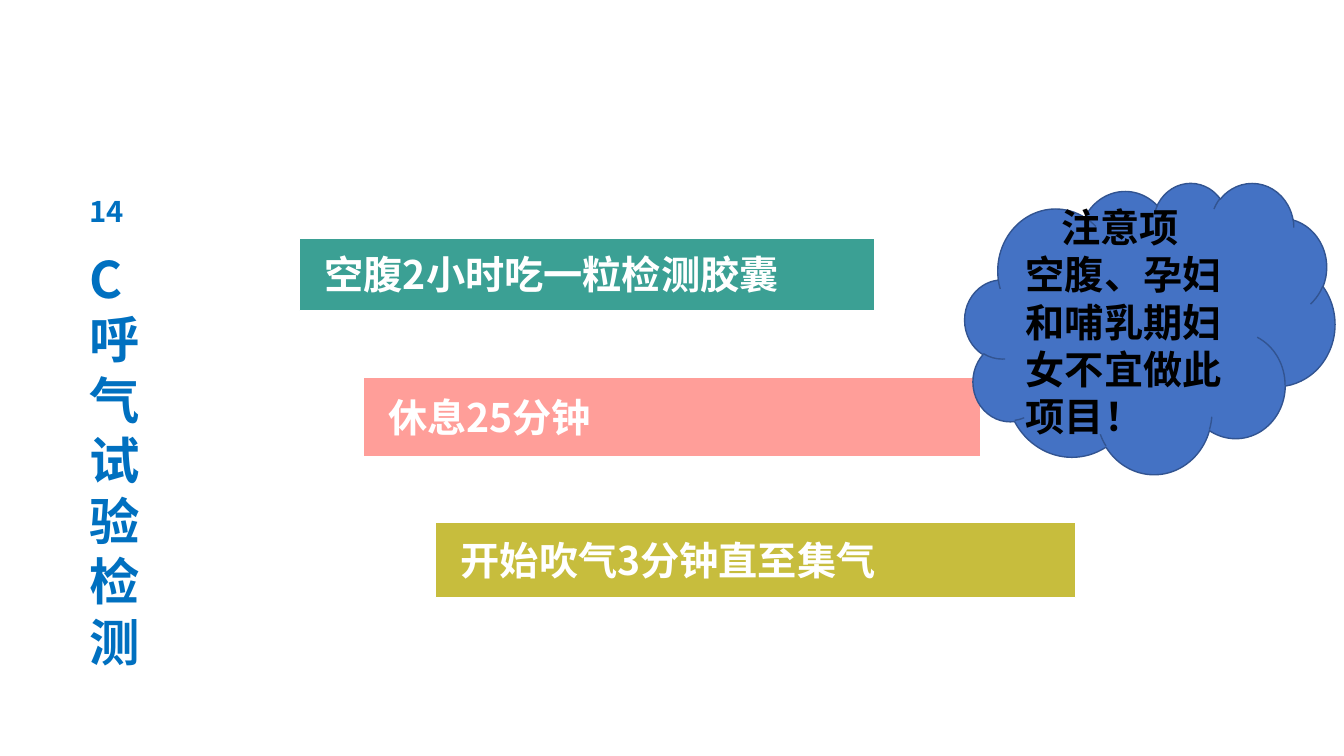
from dataclasses import dataclass

from lxml.etree import SubElement
from pptx import Presentation
from pptx.dml.color import RGBColor
from pptx.enum.shapes import MSO_SHAPE
from pptx.enum.text import MSO_ANCHOR, MSO_AUTO_SIZE, PP_ALIGN
from pptx.oxml.ns import qn
from pptx.util import Inches, Pt

# Content
ISOTOPE = "14"
TITLE = "C呼气试验检测"
# text, fill, left, top, width, height
STEPS = [
    ("空腹2小时吃一粒检测胶囊", "3BA094", 2.97, 2.36, 5.71, 0.72),
    ("休息25分钟", "FF9E99", 3.6, 3.74, 6.13, 0.79),
    ("开始吹气3分钟直至集气", "C7BD3D", 4.32, 5.18, 6.35, 0.75),
]
NOTICE = ["注意项", "空腹、孕妇和哺乳期妇女不宜做此项目！"]
TITLE_AREA = (0.79, 1.81, 0.8, 4.34)
CLOUD_AREA = (9.57, 1.81, 3.67, 2.89)


@dataclass(frozen=True)
class Theme:
    font: str = "Noto Sans CJK SC"
    title_size: int = 36
    body_size: int = 28
    title: str = "0070C0"
    light: str = "FFFFFF"
    dark: str = "000000"
    cloud: str = "4472C4"
    cloud_line: str = "325491"


THEME = Theme()


def color(code):
    return RGBColor.from_string(code)


def format_text(frame, size, code):
    for para in frame.paragraphs:
        para.alignment = PP_ALIGN.LEFT
        for span in para.runs:
            span.font.size = Pt(size)
            span.font.bold = True
            span.font.color.rgb = color(code)
            span.font.name = THEME.font
            east_asian = SubElement(span._r.get_or_add_rPr(), qn("a:ea"))
            east_asian.set("typeface", THEME.font)


def add_box(page, kind, area, fill, line, text, code):
    box = page.shapes.add_shape(kind, *map(Inches, area))
    box.shadow.inherit = False
    box.fill.solid()
    box.fill.fore_color.rgb = color(fill)
    box.line.color.rgb = color(line)
    box.line.width = Pt(1)
    frame = box.text_frame
    frame.word_wrap = True
    frame.vertical_anchor = MSO_ANCHOR.MIDDLE
    frame.text = text
    format_text(frame, THEME.body_size, code)
    return frame


def add_title(page):
    title = page.shapes.title
    title.left, title.top, title.width, title.height = map(Inches, TITLE_AREA)
    frame = title.text_frame
    frame.word_wrap = True
    frame.auto_size = MSO_AUTO_SIZE.SHAPE_TO_FIT_TEXT
    frame.vertical_anchor = MSO_ANCHOR.TOP
    # One character a line, with the raised isotope number first
    frame.text = "\n".join(["", *TITLE[1:]])
    first = frame.paragraphs[0]
    for text in (ISOTOPE, TITLE[0]):
        first.add_run().text = text
    format_text(frame, THEME.title_size, THEME.title)
    first.runs[0]._r.get_or_add_rPr().set("baseline", "30000")


def main():
    deck = Presentation()
    deck.slide_width, deck.slide_height = Inches(13.33), Inches(7.5)
    page = deck.slides.add_slide(deck.slide_layouts[5])
    add_title(page)

    # Steps of the test
    for text, fill, *area in STEPS:
        frame = add_box(page, MSO_SHAPE.RECTANGLE, area, fill, THEME.light,
                        text, THEME.light)
        frame.margin_left = Inches(0.25)
        frame.margin_right = Inches(0.08)
        frame.margin_top = frame.margin_bottom = Inches(0.04)

    # Notice cloud, with an indented heading
    notice = add_box(page, MSO_SHAPE.CLOUD, CLOUD_AREA, THEME.cloud,
                     THEME.cloud_line, "\n".join(NOTICE), THEME.dark)
    notice.paragraphs[0]._p.get_or_add_pPr().set("indent", str(Inches(0.35)))

    deck.save("out.pptx")


if __name__ == "__main__":
    main()
